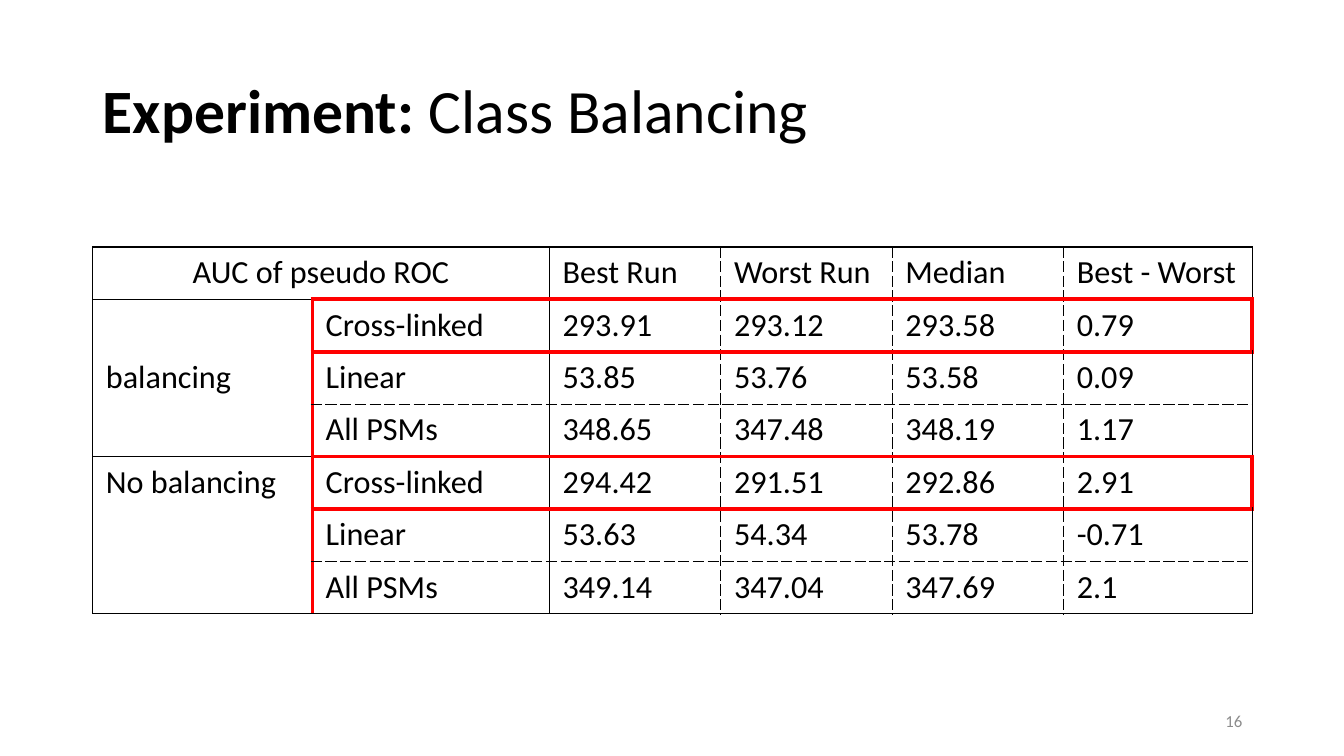
from lxml.etree import SubElement
from pptx import Presentation
from pptx.dml.color import RGBColor
from pptx.enum.text import MSO_ANCHOR as Anchor, PP_ALIGN as Align
from pptx.oxml.ns import qn
from pptx.util import Inches, Pt

COLORS = {"text": "000000", "highlight": "FF0000", "number": "8C8C8C"}
FONT = "Calibri"

SOLID = ("text", 1, "solid")
DIVIDER = ("text", 1.5, "solid")
DASHED = ("text", 1, "sysDash")
HIGHLIGHT = ("highlight", 3, "solid")

ROW_EDGES = [SOLID, HIGHLIGHT, HIGHLIGHT, DASHED, HIGHLIGHT, HIGHLIGHT, DASHED, SOLID]
COLUMN_EDGES = [SOLID, HIGHLIGHT, DIVIDER, DASHED, DASHED, DASHED, SOLID]
COLUMN_WIDTHS = [2.18, 2.35, 1.7, 1.7, 1.7, 1.87]
ROW_HEIGHT = 0.52
RESULTS = [
    ["AUC of pseudo ROC", "", "Best Run", "Worst Run", "Median", "Best - Worst"],
    ["balancing", "Cross-linked", "293.91", "293.12", "293.58", "0.79"],
    ["", "Linear", "53.85", "53.76", "53.58", "0.09"],
    ["", "All PSMs", "348.65", "347.48", "348.19", "1.17"],
    ["No balancing", "Cross-linked", "294.42", "291.51", "292.86", "2.91"],
    ["", "Linear", "53.63", "54.34", "53.78", "-0.71"],
    ["", "All PSMs", "349.14", "347.04", "347.69", "2.1"],
]


def format_paragraph(paragraph, size, color="text", align=Align.LEFT):
    paragraph.alignment = align
    paragraph.font.name = FONT
    paragraph.font.size = Pt(size)
    paragraph.font.color.rgb = RGBColor.from_string(COLORS[color])


def place(shape, box):
    shape.left, shape.top, shape.width, shape.height = (Inches(length) for length in box)


def add_title(slide, box):
    title = slide.shapes.title
    place(title, box)
    title.text_frame.vertical_anchor = Anchor.MIDDLE
    paragraph = title.text_frame.paragraphs[0]
    format_paragraph(paragraph, 44)
    paragraph.line_spacing = 0.9
    for text, bold in [("Experiment: ", True), ("Class Balancing", False)]:
        run = paragraph.add_run()
        run.text = text
        run.font.bold = bold


def row_edge(boundary, column):
    return SOLID if column == 0 else ROW_EDGES[boundary]


def column_edge(boundary, row):
    if row == 0 and boundary == 1:
        return DIVIDER
    if RESULTS[row][1] == "Cross-linked" and boundary == len(COLUMN_WIDTHS):
        return HIGHLIGHT
    return COLUMN_EDGES[boundary]


def set_borders(cell, row, column):
    properties = cell._tc.get_or_add_tcPr()
    edges = {
        "a:lnL": column_edge(column, row),
        "a:lnR": column_edge(column + 1, row),
        "a:lnT": row_edge(row, column),
        "a:lnB": row_edge(row + 1, column),
    }
    for index, (tag, (color, width, dash)) in enumerate(edges.items()):
        line = SubElement(properties, qn(tag), w=str(Pt(width)))
        properties.insert(index, line)
        fill = SubElement(line, qn("a:solidFill"))
        SubElement(fill, qn("a:srgbClr"), val=COLORS[color])
        SubElement(line, qn("a:prstDash"), val=dash)


def format_cell(cell, text):
    cell.text = text
    cell.margin_left = cell.margin_right = Inches(0.13)
    cell.margin_top = cell.margin_bottom = Inches(0.06)
    cell.fill.background()
    format_paragraph(cell.text_frame.paragraphs[0], 23)


def add_results_table(slide, box):
    lengths = [Inches(length) for length in box]
    table = slide.shapes.add_table(len(RESULTS), len(COLUMN_WIDTHS), *lengths).table
    table.first_row = table.horz_banding = False
    for column, width in zip(table.columns, COLUMN_WIDTHS):
        column.width = Inches(width)
    for row in table.rows:
        row.height = Inches(ROW_HEIGHT)
    for row, texts in enumerate(RESULTS):
        for column, text in enumerate(texts):
            cell = table.cell(row, column)
            format_cell(cell, text)
            set_borders(cell, row, column)
    table.cell(0, 0).merge(table.cell(0, 1))
    table.cell(0, 0).text_frame.paragraphs[0].alignment = Align.CENTER
    for first_row in (1, 4):
        table.cell(first_row, 0).merge(table.cell(first_row + 2, 0))
    table.cell(1, 0).vertical_anchor = Anchor.MIDDLE


def add_slide_number(slide, box):
    number = slide.shapes.add_textbox(*(Inches(length) for length in box))
    frame = number.text_frame
    frame.word_wrap = True
    frame.vertical_anchor = Anchor.MIDDLE
    frame.text = "16"
    format_paragraph(frame.paragraphs[0], 12, "number", Align.RIGHT)


def main():
    presentation = Presentation()
    presentation.slide_width = Inches(13.33)
    presentation.slide_height = Inches(7.5)
    slide = presentation.slides.add_slide(presentation.slide_layouts[5])
    add_title(slide, (0.92, 0.4, 11.5, 1.45))
    add_results_table(slide, (0.92, 2.45, sum(COLUMN_WIDTHS), ROW_HEIGHT * len(RESULTS)))
    add_slide_number(slide, (9.42, 6.95, 3, 0.4))
    presentation.save("out.pptx")


if __name__ == "__main__":
    main()
